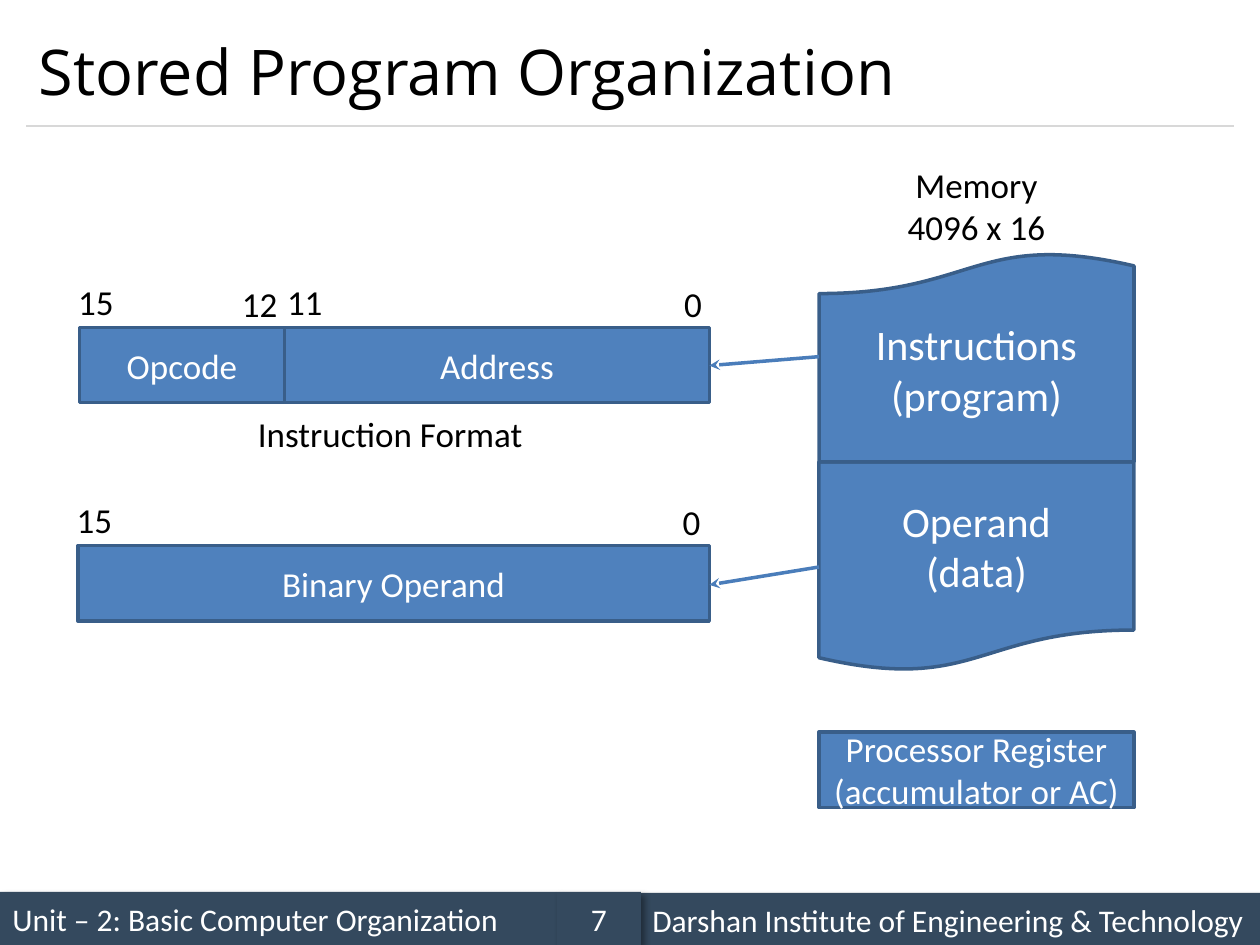
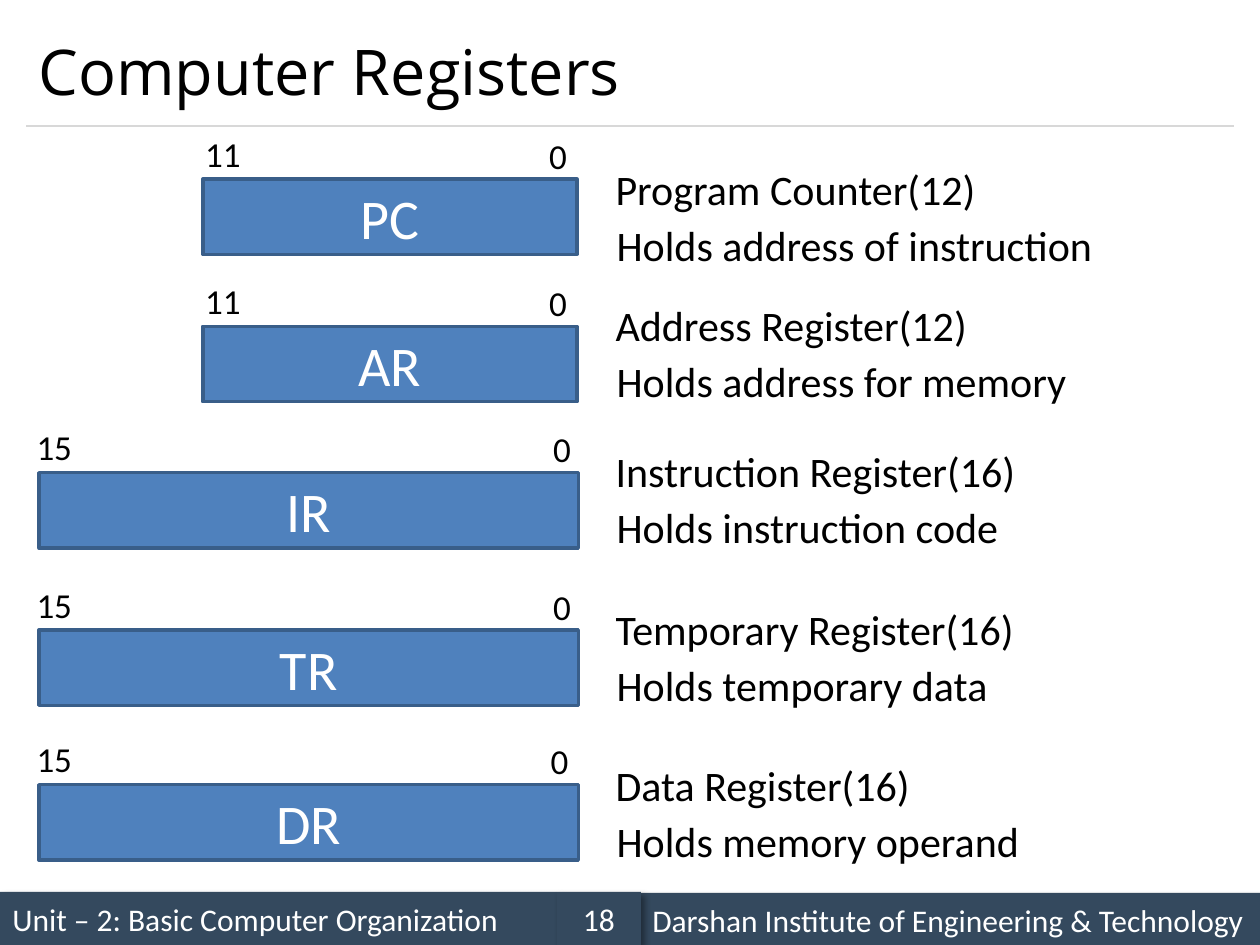
import lxml.etree
import pptx
import pptx.dml.color
import pptx.enum.shapes
import pptx.enum.text
import pptx.oxml.ns
import pptx.util

Cm = pptx.util.Cm
Pt = pptx.util.Pt
SHAPES = pptx.enum.shapes.MSO_SHAPE
CENTER = pptx.enum.text.PP_ALIGN.CENTER
LEFT = pptx.enum.text.PP_ALIGN.LEFT
MIDDLE = pptx.enum.text.MSO_ANCHOR.MIDDLE
TOP = pptx.enum.text.MSO_ANCHOR.TOP


def color(hex_string):
    return pptx.dml.color.RGBColor.from_string(hex_string)


def add_element(parent, tag, **attributes):
    return lxml.etree.SubElement(parent, pptx.oxml.ns.qn(tag), attributes)


def write_text(shape, text, size=20, ink="000000", font="Calibri",
               align=CENTER, anchor=TOP, wrap=True):
    frame = shape.text_frame
    frame.word_wrap = wrap
    frame.vertical_anchor = anchor
    frame.text = text
    for paragraph in frame.paragraphs:
        paragraph.alignment = align
        paragraph.font.size = Pt(size)
        paragraph.font.name = font
        paragraph.font.color.rgb = color(ink)


class Deck:
    white = "FFFFFF"
    band = "34495E"
    rule = "D8D8D8"
    box_fill = "4F81BD"
    box_line = "395E89"
    arrow_line = "4A7DBA"
    unit = "Unit – 2: Basic Computer Organization"
    institute = "Darshan Institute of Engineering & Technology"

    def __init__(self):
        self.presentation = pptx.Presentation()
        self.presentation.slide_width = Cm(25.4)
        self.presentation.slide_height = Cm(19.05)
        self.slide = None

    def start_slide(self, title, number):
        self.slide = self.presentation.slides.add_slide(self.presentation.slide_layouts[6])
        self.footer_band(self.unit, 0, 17.98, 11.23)
        self.line(0.53, 2.54, 24.87, 2.54, self.rule, 0.75)
        self.footer_band(self.institute, 12.9, 18, 12.5)
        self.footer_band(str(number), 11.23, 17.98, 1.69, align=CENTER)
        self.text(title, 0.53, 0.3, 24.34, 2.24, size=36, font="Open Sans",
                  align=LEFT, anchor=MIDDLE)

    def shape(self, kind, left, top, width, height, fill):
        shape = self.slide.shapes.add_shape(kind, Cm(left), Cm(top), Cm(width), Cm(height))
        shape.shadow.inherit = False
        shape.fill.solid()
        shape.fill.fore_color.rgb = color(fill)
        return shape

    def footer_band(self, text, left, top, width, align=LEFT):
        shape = self.shape(SHAPES.RECTANGLE, left, top, width, 1.07, self.band)
        shape.line.fill.background()
        effects = shape._element.spPr.find(pptx.oxml.ns.qn("a:effectLst"))
        shadow = add_element(effects, "a:outerShdw", blurRad=str(Pt(4)), dist=str(Pt(3)),
                             dir="2700000", algn="tl", rotWithShape="0")
        add_element(add_element(shadow, "a:srgbClr", val="000000"), "a:alpha", val="40000")
        write_text(shape, text, size=18, ink=self.white, align=align, anchor=MIDDLE)

    def box(self, text, left, top, width, height=1.52, size=20,
            kind=SHAPES.RECTANGLE, rotation=0):
        shape = self.shape(kind, left, top, width, height, self.box_fill)
        shape.line.color.rgb = color(self.box_line)
        shape.line.width = Pt(2)
        shape.rotation = rotation
        if text:
            write_text(shape, text, size=size, ink=self.white, anchor=MIDDLE)

    def text(self, text, left, top, width, height, **text_format):
        shape = self.slide.shapes.add_textbox(Cm(left), Cm(top), Cm(width), Cm(height))
        write_text(shape, text, **text_format)

    def line(self, start_x, start_y, end_x, end_y, ink, weight, arrow=False):
        connector = self.slide.shapes.add_connector(
            pptx.enum.shapes.MSO_CONNECTOR.STRAIGHT,
            Cm(start_x), Cm(start_y), Cm(end_x), Cm(end_y))
        connector.line.color.rgb = color(ink)
        connector.line.width = Pt(weight)
        if arrow:
            add_element(connector.line._get_or_add_ln(), "a:tailEnd", type="stealth")
        add_element(connector._element.spPr, "a:effectLst")

    def register(self, name, left, top, width, high_bit, low_bit, size=20):
        self.box(name, left, top, width, size=size)
        for (bit, bit_left), lift in ((high_bit, 1.07), (low_bit, 1.03)):
            bit_width = 0.76 if len(bit) == 1 else 1.27
            self.text(bit, bit_left, top - lift, bit_width, 1.12, wrap=False)


def stored_program_slide(deck):
    deck.start_slide("Stored Program Organization", 7)
    memory_left, memory_width, half_height = 16.51, 6.35, 4.23
    document = SHAPES.FLOWCHART_DOCUMENT
    deck.box("Operand\n(data)", memory_left, 9.31, memory_width, half_height,
             size=24, kind=document)
    deck.box("", memory_left, 5.08, memory_width, half_height, kind=document, rotation=180)
    deck.text("Instructions\n(program)", memory_left, 6.3, memory_width, 2.31,
              size=24, ink=deck.white)
    deck.text("Memory\n4096 x 16", memory_left, 3.18, memory_width, 1.96)
    deck.box("Processor Register (accumulator or AC)", memory_left, 14.76, memory_width)

    deck.register("Opcode", 1.6, 6.6, 4.14, ("15", 1.3), ("12", 4.6))
    deck.register("Address", 5.74, 6.6, 8.56, ("11", 5.51), ("0", 13.54))
    deck.text("Instruction Format", 4.52, 8.2, 6.7, 1.12)
    deck.register("Binary Operand", 1.57, 11, 12.73, ("15", 1.27), ("0", 13.51))

    for memory_y, register_y in ((7.19, 7.37), (11.43, 11.79)):
        deck.line(memory_left, memory_y, 14.3, register_y, deck.arrow_line, 2, arrow=True)


def registers_slide(deck):
    deck.start_slide("Computer Registers", 18)
    short, long = (4.09, 7.54, ("11", 3.86)), (0.79, 10.87, ("15", 0.46))
    registers = [
        ("PC", short, 3.61, 10.82, 3.18, "Program Counter(12)", "Holds address of instruction"),
        ("AR", short, 6.58, 10.82, 5.92, "Address Register(12)", "Holds address for memory"),
        ("IR", long, 9.53, 10.9, 8.86, "Instruction Register(16)", "Holds instruction code"),
        ("TR", long, 12.7, 10.9, 12.04, "Temporary Register(16)", "Holds temporary data"),
        ("DR", long, 15.82, 10.85, 15.19, "Data Register(16)", "Holds memory operand"),
    ]
    for name, (left, width, high_bit), top, zero_left, text_top, title, purpose in registers:
        deck.register(name, left, top, width, high_bit, ("0", zero_left), size=32)
        deck.text(title, 12.16, text_top, 11.13, 1.27, size=24, align=LEFT)
        deck.text(purpose, 12.18, text_top + 1.13, 11.13, 1.27, size=24, align=LEFT)


def main():
    deck = Deck()
    stored_program_slide(deck)
    registers_slide(deck)
    deck.presentation.save("out.pptx")


if __name__ == "__main__":
    main()
